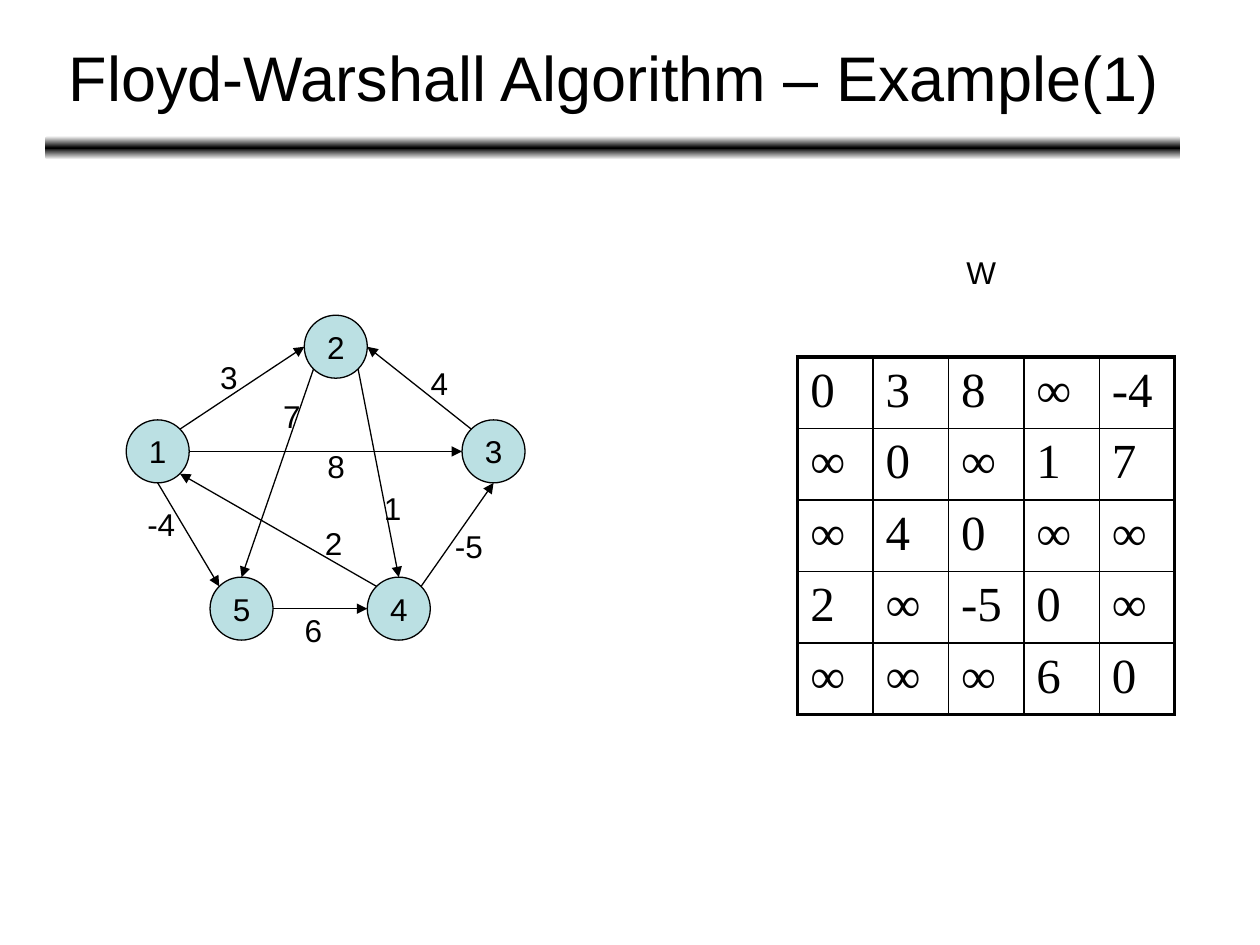
from copy import deepcopy
from math import cos, pi, sin
from typing import NamedTuple

from lxml.etree import SubElement
from pptx import Presentation
from pptx.dml.color import RGBColor
from pptx.enum.shapes import MSO_CONNECTOR, MSO_SHAPE
from pptx.enum.text import MSO_ANCHOR, PP_ALIGN
from pptx.oxml.ns import qn
from pptx.util import Cm, Pt

BLACK = RGBColor(0x00, 0x00, 0x00)
WHITE = RGBColor(0xFF, 0xFF, 0xFF)
AQUA = RGBColor(0xBB, 0xE0, 0xE3)
SIZE = 1.27  # box height and node diameter, in cm


class Node(NamedTuple):
    x: float  # centre, in cm
    y: float


class Edge(NamedTuple):
    start: int
    out: int  # site on the node, in eighths of a turn from the right
    end: int
    into: int
    cost: str
    left: float  # corner of the cost label, in cm
    top: float


NODES = {
    1: Node(3.18, 9.1),
    2: Node(6.77, 6.99),
    3: Node(9.95, 9.1),
    4: Node(8.04, 12.27),
    5: Node(4.87, 12.27),
}
EDGES = [
    Edge(1, 1, 2, 4, "3", 4.19, 7.09),
    Edge(3, 3, 2, 0, "4", 8.43, 7.21),
    Edge(1, 6, 5, 3, "-4", 2.72, 10.06),
    Edge(5, 0, 4, 4, "6", 5.89, 12.19),
    Edge(4, 1, 3, 6, "-5", 8.92, 10.49),
    Edge(4, 3, 1, 7, "2", 6.3, 10.44),
    Edge(1, 0, 3, 4, "8", 6.35, 8.89),
    Edge(2, 5, 5, 2, "7", 5.46, 7.87),
    Edge(2, 7, 4, 2, "1", 7.49, 9.73),
]
COSTS = [
    ["0", "3", "8", "∞", "-4"],
    ["∞", "0", "∞", "1", "7"],
    ["∞", "4", "0", "∞", "∞"],
    ["2", "∞", "-5", "0", "∞"],
    ["∞", "∞", "∞", "6", "0"],
]

deck = Presentation()
deck.slide_width, deck.slide_height = Cm(25.4), Cm(19.05)
slide = deck.slides.add_slide(deck.slide_layouts[6])
shapes = slide.shapes


def write(frame, text: str, *, size: float = 18, font: str = "Arial",
          align=PP_ALIGN.LEFT) -> None:
    para = frame.paragraphs[0]
    para.alignment = align
    run = para.add_run()
    run.text = text
    run.font.size, run.font.name = Pt(size), font
    run.font.color.rgb = BLACK


def label(text: str, left: float, top: float, width: float,
          height: float = SIZE, **style) -> None:
    frame = shapes.add_textbox(Cm(left), Cm(top), Cm(width), Cm(height)).text_frame
    frame.word_wrap = True
    if height > SIZE:
        frame.vertical_anchor = MSO_ANCHOR.MIDDLE
    write(frame, text, **style)


def draw_rule() -> None:
    bar = shapes.add_shape(MSO_SHAPE.ROUNDED_RECTANGLE,
                           Cm(0.91), Cm(2.74), Cm(22.89), Cm(0.48))
    bar.shadow.inherit = False
    bar.line.fill.background()
    bar.fill.gradient()
    bar.fill.gradient_angle = 90
    stops = bar.fill._fill._gradFill.find(qn("a:gsLst"))
    stops.append(deepcopy(stops[-1]))
    for stop, place, color in zip(bar.fill.gradient_stops, (0, 0.5, 1),
                                  (WHITE, BLACK, WHITE)):
        stop.position = place
        stop.color.rgb = color


def draw_node(name: int, node: Node) -> None:
    disc = shapes.add_shape(MSO_SHAPE.FLOWCHART_CONNECTOR, Cm(node.x - SIZE / 2),
                            Cm(node.y - SIZE / 2), Cm(SIZE), Cm(SIZE))
    disc.shadow.inherit = False
    disc.fill.solid()
    disc.fill.fore_color.rgb = AQUA
    disc.line.color.rgb = BLACK
    disc.line.width = Pt(0.75)
    disc.text_frame.word_wrap = False
    disc.text_frame.vertical_anchor = MSO_ANCHOR.MIDDLE
    write(disc.text_frame, str(name), align=PP_ALIGN.CENTER)


def site(name: int, step: int) -> tuple[Cm, Cm]:
    node, turn = NODES[name], step * pi / 4
    return (Cm(node.x + SIZE / 2 * cos(turn)), Cm(node.y - SIZE / 2 * sin(turn)))


def draw_edge(edge: Edge) -> None:
    line = shapes.add_connector(MSO_CONNECTOR.STRAIGHT,
                                *site(edge.start, edge.out),
                                *site(edge.end, edge.into))
    line.line.color.rgb = BLACK
    line.line.width = Pt(0.75)
    SubElement(line.line._get_or_add_ln(), qn("a:tailEnd"), type="triangle")
    SubElement(line._element.spPr, qn("a:effectLst"))


def set_side(cell, side: str, width: float) -> None:
    props = cell._tc.get_or_add_tcPr()
    line = SubElement(props, qn(f"a:{side}"), w=str(Pt(width)))
    fill = SubElement(line, qn("a:solidFill"))
    SubElement(fill, qn("a:srgbClr"), val=str(BLACK))


def draw_table(left: float, top: float, wide: float, high: float) -> None:
    count = len(COSTS)
    last = count - 1
    table = shapes.add_table(count, count, Cm(left), Cm(top),
                             Cm(wide * count), Cm(high * count)).table
    table.first_row = table.horz_banding = False
    for i, row in enumerate(COSTS):
        table.rows[i].height = Cm(high)
        table.columns[i].width = Cm(wide)
        for j, text in enumerate(row):
            cell = table.cell(i, j)
            outer = {"lnL": j == 0, "lnR": j == last,
                     "lnT": i == 0, "lnB": i == last}
            for side, thick in outer.items():
                set_side(cell, side, 2.25 if thick else 1)
            cell.fill.background()
            write(cell.text_frame, text, size=28, font="Times New Roman")


# Heading
draw_rule()
label("Floyd-Warshall Algorithm – Example(1)", 0.94, 0.28, 22.86, 2.51,
      size=36, align=PP_ALIGN.CENTER)

# Weighted graph
for name, node in NODES.items():
    draw_node(name, node)
for edge in EDGES:
    draw_edge(edge)
for edge in EDGES:
    label(edge.cost, edge.left, edge.top, 0.66 + 0.28 * len(edge.cost))

# Weight matrix
draw_table(16.08, 7.2, 1.52, 1.44)
label("W", 19.23, 4.98, 1.32)

deck.save("out.pptx")
